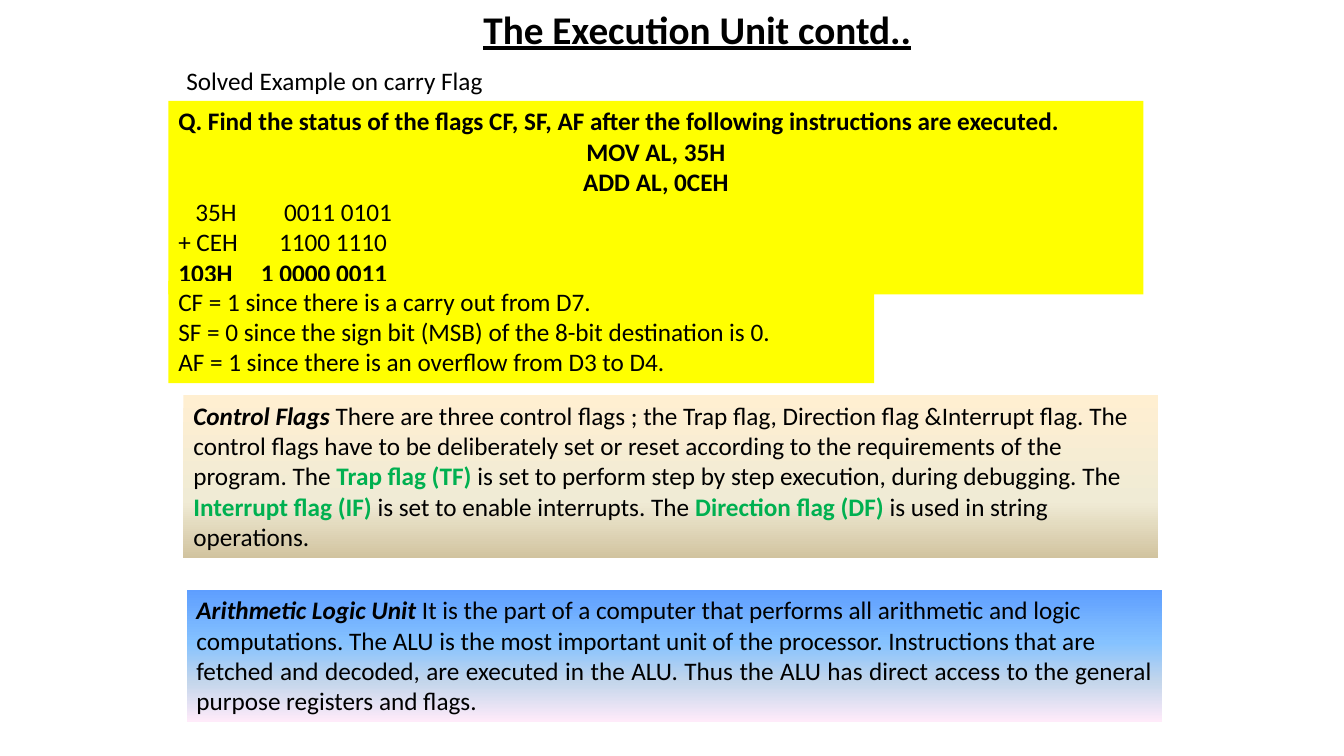
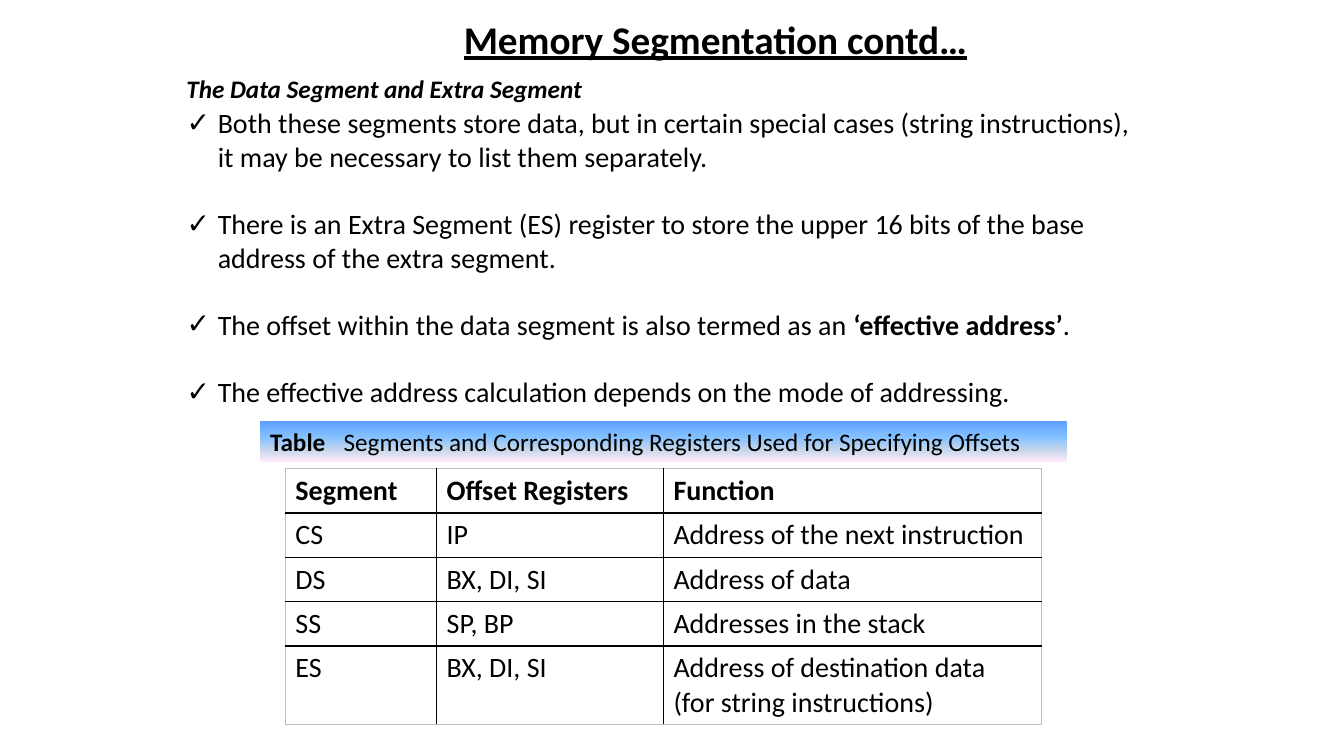
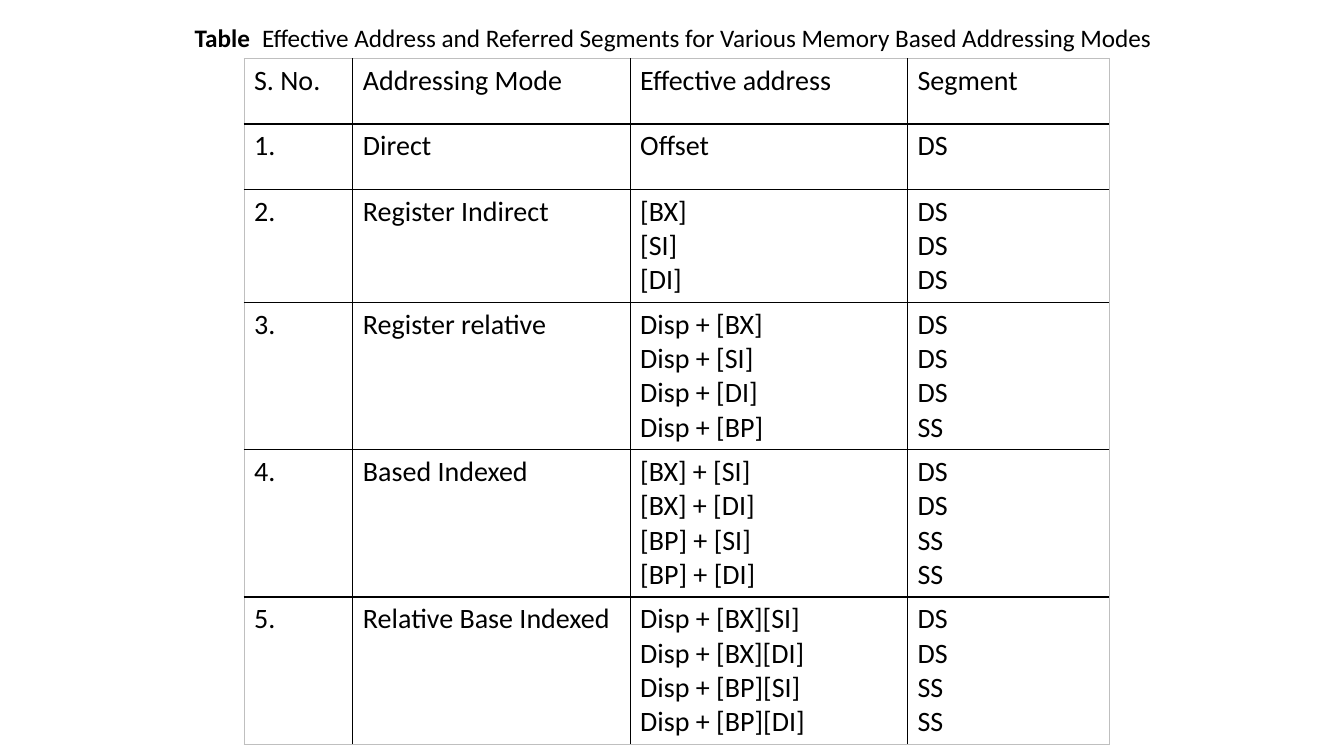
from lxml import etree
from pptx import Presentation
from pptx.dml.color import RGBColor
from pptx.enum.shapes import MSO_SHAPE
from pptx.enum.text import MSO_ANCHOR, MSO_AUTO_SIZE, PP_ALIGN
from pptx.oxml.ns import qn
from pptx.util import Inches, Pt

RECT = MSO_SHAPE.RECTANGLE
TOP = MSO_ANCHOR.TOP
NO_FIT = MSO_AUTO_SIZE.NONE
LEFT, CENTER, JUSTIFY = PP_ALIGN.LEFT, PP_ALIGN.CENTER, PP_ALIGN.JUSTIFY

FONT = "Calibri"
COLORS = {"text": "000000", "term": "00B050", "example": "FFFF00",
          "grid": "000000", "frame": "BFBFBF"}
SAND = [(0, "FFEFD1"), (65, "F0EBD5"), (100, "D1C39F")]
SKY = [(0, "5E9EFF"), (40, "85C2FF"), (70, "C4D6EB"), (100, "FFEBFA")]
TITLE_SIZE, LIST_SIZE, TEXT_SIZE = 28, 20, 18
TITLE_ONLY, TITLE_AND_BODY = 5, 1

# Run flags: b bold, i italic, u underline, t highlighted term
EXECUTION_TITLE = "The Execution Unit contd.."
EXAMPLE_HEADING = "Solved Example on carry Flag"
QUESTION = [
    {"runs": [("Q. Find the status of the flags CF, SF, AF after the following instructions are executed.", "b")]},
    {"runs": [("MOV AL, 35H", "b")], "align": CENTER},
    {"runs": [("ADD AL, 0CEH", "b")], "align": CENTER},
    {"runs": [("\t35H\t0011 0101", "")], "tabs": [0.17, 1.05]},
    {"runs": [("+ CEH\t1100 1110", "")], "tabs": [1]},
    {"runs": [("103H\t1 0000 0011", "b")], "tabs": [0.82]},
]
ANSWERS = [{"runs": [(line, "")]} for line in (
    "CF = 1 since there is a carry out from D7.",
    "SF = 0 since the sign bit (MSB) of the 8-bit destination is 0.",
    "AF = 1 since there is an overflow from D3 to D4.",
)]
CONTROL_FLAGS = [{"runs": [
    ("Control Flags", "bi"),
    (" There are three control flags ; the Trap flag, Direction flag &Interrupt flag. The control flags have to be "
     "deliberately set or reset according to the requirements of the program. The ", ""),
    ("Trap flag (TF) ", "bt"),
    ("is set to perform step by step execution, during debugging. The ", ""),
    ("Interrupt flag (IF) ", "bt"),
    ("is set to enable interrupts. The ", ""),
    ("Direction flag (DF) ", "bt"),
    ("is used in string operations.", ""),
]}]
LOGIC_UNIT = [{"runs": runs, "align": JUSTIFY} for runs in (
    [("Arithmetic Logic Unit ", "bi"),
     ("It is the part of a computer that performs all arithmetic and logic", "")],
    [("computations. The ALU is the most important unit of the processor. Instructions that are", "")],
    [("fetched and decoded, are executed in the ALU. Thus the ALU has direct access to the general "
      "purpose registers and flags.", "")],
)]

MEMORY_TITLE = "Memory Segmentation contd…"
SEGMENT_HEADING = "The Data Segment and Extra Segment"
SEGMENT_POINTS = [{"runs": runs, "bullet": "✓", "after": 24} for runs in (
    [("Both these segments store data, but in certain special cases (string instructions), "
      "it may be necessary to list them separately.", "")],
    [("There is an Extra Segment (ES) register to store the upper 16 bits of the base "
      "address of the extra segment.", "")],
    [("The offset within the data segment is also termed as an ", ""),
     ("‘effective address’", "b"), (".", "")],
    [("The effective address calculation depends on the mode of addressing.", "")],
)]
REGISTER_CAPTION = [{"runs": [
    ("Table", "b"),
    ("\tSegments and Corresponding Registers Used for Specifying Offsets", ""),
], "tabs": [0.73]}]
REGISTER_ROWS = [
    ("Segment", "Offset Registers", "Function"),
    ("CS", "IP", "Address of the next instruction"),
    ("DS", "BX, DI, SI", "Address of data"),
    ("SS", "SP, BP", "Addresses in the stack"),
    ("ES", "BX, DI, SI", "Address of destination data\n(for string instructions)"),
]

MODE_CAPTION = [{"runs": [
    ("Table", "b"),
    ("\tEffective Address and Referred Segments for Various Memory Based Addressing Modes", ""),
], "tabs": [0.67]}]
MODE_ROWS = [
    ("S. No.", "Addressing Mode", "Effective address", "Segment"),
    ("1.", "Direct", "Offset", "DS"),
    ("2.", "Register Indirect", "[BX]\n[SI]\n[DI]", "DS\nDS\nDS"),
    ("3.", "Register relative", "Disp + [BX]\nDisp + [SI]\nDisp + [DI]\nDisp + [BP]", "DS\nDS\nDS\nSS"),
    ("4.", "Based Indexed", "[BX] + [SI]\n[BX] + [DI]\n[BP] + [SI]\n[BP] + [DI]", "DS\nDS\nSS\nSS"),
    ("5.", "Relative Base Indexed",
     "Disp + [BX][SI]\nDisp + [BX][DI]\nDisp + [BP][SI]\nDisp + [BP][DI]", "DS\nDS\nSS\nSS"),
]


def rgb(name):
    return RGBColor.from_string(COLORS[name])


def write(frame, paragraphs, size):
    frame.word_wrap = True
    for index, item in enumerate(paragraphs):
        paragraph = frame.paragraphs[0] if index == 0 else frame.add_paragraph()
        paragraph.alignment = item.get("align", LEFT)
        paragraph.space_before = Pt(0)
        last = index == len(paragraphs) - 1
        paragraph.space_after = Pt(0 if last else item.get("after", 0))
        properties = paragraph._p.get_or_add_pPr()
        if "bullet" in item:
            properties.set("marL", str(Inches(0.31)))
            properties.set("indent", str(-Inches(0.31)))
            etree.SubElement(properties, qn("a:buChar"), char=item["bullet"])
        if "tabs" in item:
            stops = etree.SubElement(properties, qn("a:tabLst"))
            for stop in item["tabs"]:
                etree.SubElement(stops, qn("a:tab"), pos=str(Inches(stop)), algn="l")
        for text, flags in item["runs"]:
            run = paragraph.add_run()
            run.text = text
            font = run.font
            font.name, font.size = FONT, Pt(size)
            font.bold, font.italic, font.underline = "b" in flags, "i" in flags, "u" in flags
            font.color.rgb = rgb("term" if "t" in flags else "text")


def fill_placeholder(placeholder, box, paragraphs, size):
    placeholder.left, placeholder.top, placeholder.width, placeholder.height = map(Inches, box)
    frame = placeholder.text_frame
    frame.auto_size = NO_FIT
    frame.vertical_anchor = TOP
    write(frame, paragraphs, size)


def add_title(slide, box, text):
    fill_placeholder(slide.shapes.title, box, [{"runs": [(text, "bu")], "align": CENTER}], TITLE_SIZE)


def add_heading(slide, box, text, flags=""):
    heading = slide.shapes.add_textbox(*map(Inches, box))
    write(heading.text_frame, [{"runs": [(text, flags)]}], TEXT_SIZE)


def add_panel(slide, box, paragraphs, stops=None):
    panel = slide.shapes.add_shape(RECT, *map(Inches, box))
    panel.shadow.inherit = False
    panel.line.fill.background()
    if stops:
        panel.fill.gradient()
        panel.fill.gradient_angle = 270
        stop_list = panel._element.spPr.find(".//" + qn("a:gsLst"))
        stop_list.clear()
        for percent, color in stops:
            stop = etree.SubElement(stop_list, qn("a:gs"), pos=str(percent * 1000))
            etree.SubElement(stop, qn("a:srgbClr"), val=color)
    else:
        panel.fill.solid()
        panel.fill.fore_color.rgb = rgb("example")
    panel.text_frame.vertical_anchor = TOP
    write(panel.text_frame, paragraphs, TEXT_SIZE)


def add_border(cell, side, outer):
    line = etree.SubElement(cell._tc.get_or_add_tcPr(), qn("a:ln" + side),
                            w=str(Pt(0.5 if outer else 1)))
    fill = etree.SubElement(line, qn("a:solidFill"))
    etree.SubElement(fill, qn("a:srgbClr"), val=COLORS["frame" if outer else "grid"])


def add_grid(slide, left, top, widths, rows, min_height, header_flags=""):
    heights = [max(min_height, 0.1 + 0.34 * max(text.count("\n") + 1 for text in row)) for row in rows]
    table = slide.shapes.add_table(len(rows), len(widths), Inches(left), Inches(top),
                                   Inches(sum(widths)), Inches(sum(heights))).table
    table.first_row = table.horz_banding = False
    for column, width in zip(table.columns, widths):
        column.width = Inches(width)
    for r, row in enumerate(rows):
        table.rows[r].height = Inches(heights[r])
        flags = header_flags if r == 0 else ""
        for c, text in enumerate(row):
            cell = table.cell(r, c)
            write(cell.text_frame, [{"runs": [(line, flags)]} for line in text.split("\n")], LIST_SIZE)
            edges = {"L": c == 0, "R": c == len(widths) - 1, "T": r == 0, "B": r == len(rows) - 1}
            for side, outer in edges.items():
                add_border(cell, side, outer)
            cell.fill.background()


def execution_unit(slide):
    add_title(slide, (4.5, 0, 4.83, 0.57), EXECUTION_TITLE)
    add_panel(slide, (1.67, 1, 9.67, 1.92), QUESTION)
    add_panel(slide, (1.82, 3.92, 9.67, 1.62), CONTROL_FLAGS, SAND)
    add_panel(slide, (1.85, 5.85, 9.68, 1.31), LOGIC_UNIT, SKY)
    add_panel(slide, (1.67, 2.79, 7, 1.01), ANSWERS)
    add_heading(slide, (1.75, 0.6, 3.42, 0.4), EXAMPLE_HEADING)


def memory_segmentation(slide):
    add_heading(slide, (1.75, 0.68, 4.4, 0.4), SEGMENT_HEADING, "bi")
    add_title(slide, (4.47, 0.1, 5.25, 0.57), MEMORY_TITLE)
    fill_placeholder(slide.placeholders[1], (1.75, 1, 9.75, 3.13), SEGMENT_POINTS, LIST_SIZE)
    add_grid(slide, 2.83, 4.65, [1.5, 2.25, 3.75], REGISTER_ROWS, 0.44, "b")
    add_panel(slide, (2.58, 4.18, 8, 0.4), REGISTER_CAPTION, SKY)


def addressing_modes(slide):
    add_grid(slide, 2.42, 0.58, [1.08, 2.75, 2.75, 2], MODE_ROWS, 0.65)
    fill_placeholder(slide.shapes.title, (1.83, 0.17, 9.75, 0.4), MODE_CAPTION, TEXT_SIZE)


def main():
    deck = Presentation()
    deck.slide_width, deck.slide_height = Inches(13.33), Inches(7.5)
    for build, layout in ((execution_unit, TITLE_ONLY), (memory_segmentation, TITLE_AND_BODY),
                          (addressing_modes, TITLE_ONLY)):
        build(deck.slides.add_slide(deck.slide_layouts[layout]))
    deck.save("out.pptx")


if __name__ == "__main__":
    main()
